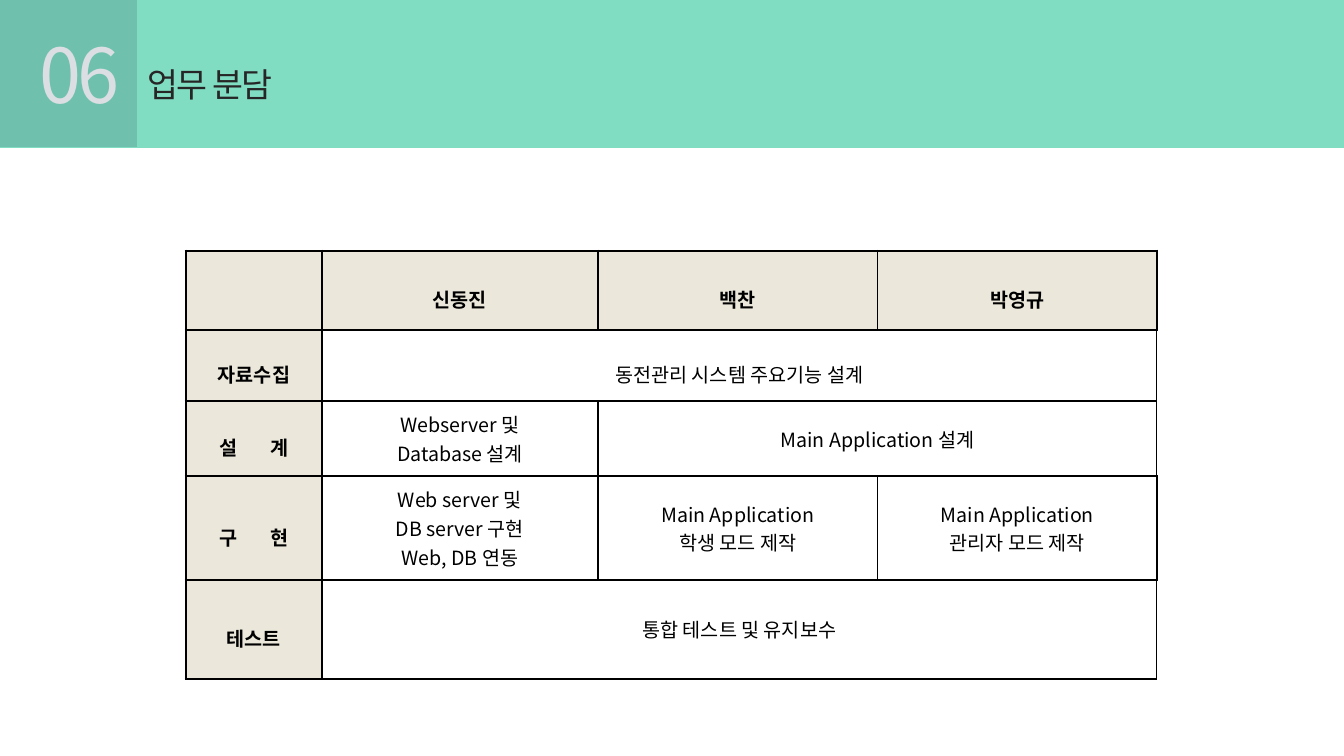
import pptx
import pptx.util
from lxml import etree
from pptx.dml.color import RGBColor
from pptx.enum.shapes import MSO_SHAPE
from pptx.enum.text import MSO_ANCHOR, MSO_AUTO_SIZE, PP_ALIGN
from pptx.oxml.ns import qn

PX_PER_INCH = 100.8
FONT = "Noto Sans CJK KR"

MINT = RGBColor(0x80, 0xDD, 0xC2)
NAVY = RGBColor(0x0F, 0x24, 0x3E)
SAND = RGBColor(0xDD, 0xD9, 0xC3)
WHITE = RGBColor(0xFF, 0xFF, 0xFF)
CHARCOAL = RGBColor(0x26, 0x26, 0x26)
BLACK = RGBColor(0, 0, 0)

COLUMN_WIDTHS = [136, 276, 280, 279]
ROW_HEIGHTS = [79, 71, 75, 104, 99]
# Each row holds (text, columns spanned)
DUTIES = [
    [("", 1), ("신동진", 1), ("백찬", 1), ("박영규", 1)],
    [("자료수집", 1), ("동전관리 시스템 주요기능 설계", 3)],
    [("설 계", 1), ("Webserver 및\nDatabase 설계", 1), ("Main Application 설계", 2)],
    [("구 현", 1), ("Web server 및\nDB server 구현\nWeb, DB 연동", 1),
     ("Main Application\n학생 모드 제작", 1), ("Main Application\n관리자 모드 제작", 1)],
    [("테스트", 1), ("통합 테스트 및 유지보수", 3)],
]


def px(length):
    return pptx.util.Emu(round(length * 914400 / PX_PER_INCH))


def place(shape, left, top, width, height):
    shape.left, shape.top = px(left), px(top)
    shape.width, shape.height = px(width), px(height)


def set_alpha(fill, percent):
    color = fill._xPr.find(qn("a:solidFill"))[0]
    etree.SubElement(color, qn("a:alpha"), val=str(percent * 1000))


def set_spacing(run, points):
    run.font._element.set("spc", str(points * 100))


def format_run(run, size, color, bold=False):
    run.font.name = FONT
    run.font.size = pptx.util.Pt(size)
    run.font.color.rgb = color
    run.font.bold = bold
    properties = run.font._element
    etree.SubElement(properties, qn("a:ea"), typeface=FONT)


def add_rectangle(slide, left, top, width, height, color):
    shape = slide.shapes.add_shape(
        MSO_SHAPE.RECTANGLE, px(left), px(top), px(width), px(height))
    shape.shadow.inherit = False
    shape.line.fill.background()
    shape.fill.solid()
    shape.fill.fore_color.rgb = color
    return shape


def write_heading(shape, text, size, color, spacing, alignment):
    frame = shape.text_frame
    frame.text = text
    frame.word_wrap = True
    frame.auto_size = MSO_AUTO_SIZE.SHAPE_TO_FIT_TEXT
    frame.vertical_anchor = MSO_ANCHOR.TOP
    paragraph = frame.paragraphs[0]
    paragraph.alignment = alignment
    paragraph.line_spacing = 1.0
    format_run(paragraph.runs[0], size, color)
    set_spacing(paragraph.runs[0], spacing)


def set_borders(cell, widths):
    properties = cell._tc.get_or_add_tcPr()
    for side, width in zip("LRTB", widths):
        line = etree.SubElement(properties, qn(f"a:ln{side}"),
                                w=str(pptx.util.Pt(width)))
        fill = etree.SubElement(line, qn("a:solidFill"))
        etree.SubElement(fill, qn("a:srgbClr"), val=str(BLACK))


def widen_gap(paragraph):
    """Split a two-syllable label so that its space can be stretched."""
    first, gap, last = paragraph.text.partition(" ")
    paragraph.runs[0].text = first
    space = paragraph.add_run()
    space.text = gap
    set_spacing(space, 20)
    paragraph.add_run().text = last


def write_cell(cell, text, is_label, line_spacing):
    cell.vertical_anchor = MSO_ANCHOR.MIDDLE
    cell.text_frame.text = text
    for paragraph in cell.text_frame.paragraphs:
        paragraph.alignment = PP_ALIGN.CENTER
        paragraph.line_spacing = line_spacing
        if is_label and " " in text:
            widen_gap(paragraph)
        for run in paragraph.runs:
            format_run(run, 14, BLACK, is_label)


def add_duty_table(slide, left, top):
    last_row, last_column = len(ROW_HEIGHTS) - 1, len(COLUMN_WIDTHS) - 1
    table = slide.shapes.add_table(
        last_row + 1, last_column + 1, px(left), px(top),
        px(sum(COLUMN_WIDTHS)), px(sum(ROW_HEIGHTS))).table
    for column, width in zip(table.columns, COLUMN_WIDTHS):
        column.width = px(width)
    for row, height in zip(table.rows, ROW_HEIGHTS):
        row.height = px(height)

    # Heavy outer frame, thin inner lines, shaded labels
    for r in range(last_row + 1):
        for c in range(last_column + 1):
            cell = table.cell(r, c)
            outer = (c == 0, c == last_column, r == 0, r == last_row)
            set_borders(cell, [2.25 if edge else 1 for edge in outer])
            if r == 0 or c == 0:
                cell.fill.solid()
                cell.fill.fore_color.rgb = SAND
                set_alpha(cell.fill, 59)
            else:
                cell.fill.background()

    # Wording and merged cells
    for r, duties in enumerate(DUTIES):
        c = 0
        for text, span in duties:
            cell = table.cell(r, c)
            if span > 1:
                cell.merge(table.cell(r, c + span - 1))
            is_label = r == 0 or c == 0
            write_cell(cell, text, is_label, 1.6 if is_label or r == 1 else 1.0)
            c += span


def main():
    presentation = pptx.Presentation()
    presentation.slide_width, presentation.slide_height = px(1344), px(756)
    slide = presentation.slides.add_slide(presentation.slide_layouts[5])

    # Header band with section number and title
    add_rectangle(slide, 0, 0, 1344, 148, MINT)
    number = slide.shapes.add_textbox(px(22), px(23), px(115), px(102))
    write_heading(number, "06", 54, WHITE, -3, PP_ALIGN.CENTER)
    title = slide.shapes.title
    place(title, 137, 59, 857, 50)
    write_heading(title, "업무 분담", 24, CHARCOAL, -1, PP_ALIGN.LEFT)
    title.element.getparent().append(title.element)

    # Tinted square over the number
    tint = add_rectangle(slide, 0, 0, 137, 147, NAVY)
    set_alpha(tint.fill, 15)

    add_duty_table(slide, 186, 251)
    presentation.save("out.pptx")


if __name__ == "__main__":
    main()
